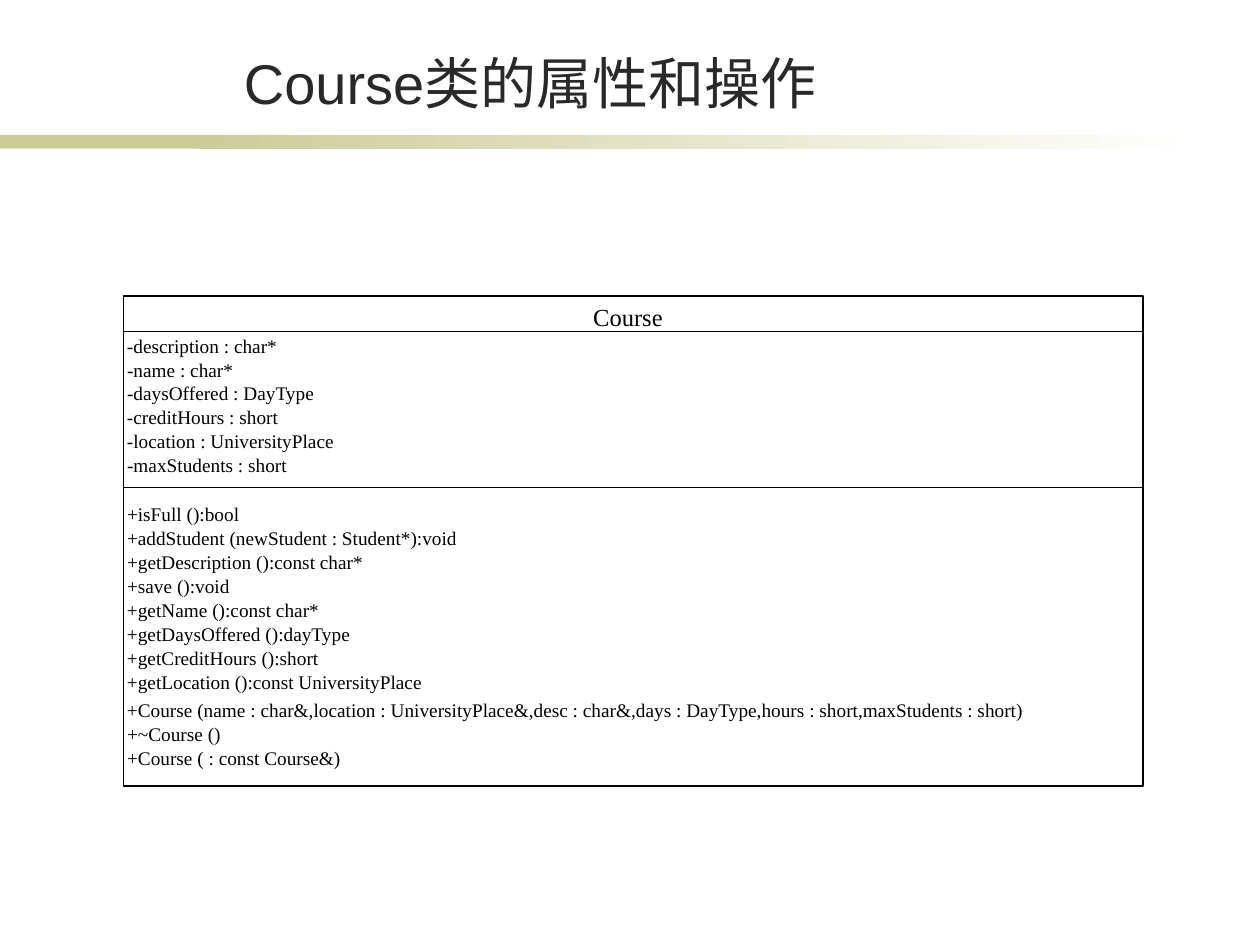
from lxml.etree import SubElement
from pptx import Presentation
from pptx.dml.color import RGBColor
from pptx.enum.shapes import MSO_CONNECTOR, MSO_SHAPE
from pptx.enum.text import MSO_ANCHOR, MSO_AUTO_SIZE, PP_ALIGN
from pptx.oxml.ns import qn
from pptx.util import Inches, Pt

# Content: each member with the width of its box in inches
TITLE = "Course类的属性和操作"
CLASS_NAME = ("Course", 0.83)
ATTRIBUTES = [
    ("-description : char*", 1.47),
    ("-name : char*", 1.11),
    ("-daysOffered : DayType", 1.82),
    ("-creditHours : short", 1.5),
    ("-location : UniversityPlace", 1.96),
    ("-maxStudents : short", 1.61),
]
OPERATIONS = [
    ("+isFull ():bool", 1.12),
    ("+addStudent (newStudent : Student*):void", 3.05),
    ("+getDescription ():const char*", 2.21),
    ("+save ():void", 1.08),
    ("+getName ():const char*", 1.86),
    ("+getDaysOffered ():dayType", 2.13),
    ("+getCreditHours ():short", 1.84),
    ("+getLocation ():const UniversityPlace", 2.73),
]
CONSTRUCTORS = [
    ("+Course (name : char&,location : UniversityPlace&,desc : char&,"
     "days : DayType,hours : short,maxStudents : short)", 7.96),
    ("+~Course ()", 1.01),
    ("+Course ( : const Course&)", 2.05),
]
COLORS = {"band": "CCCC99", "paper": "FFFFFF", "title": "292929", "ink": "000000"}

# Layout in inches
BOX_LEFT, BOX_TOP, BOX_WIDTH, BOX_HEIGHT = 0.98, 2.35, 8.09, 3.89
DIVIDERS = [2.63, 3.87]
MEMBER_LEFT, MEMBER_HEIGHT, ROW_PITCH = 0.91, 0.28, 0.19
SECTIONS = [(2.6, ATTRIBUTES), (3.94, OPERATIONS), (5.49, CONSTRUCTORS)]


def color(key):
    return RGBColor.from_string(COLORS[key])


def add_rect(shapes, left, top, width, height):
    rect = shapes.add_shape(MSO_SHAPE.RECTANGLE, Inches(left), Inches(top),
                            Inches(width), Inches(height))
    rect.shadow.inherit = False
    rect.line.fill.background()
    return rect


def add_run(paragraph, text, size, font_name, key):
    run = paragraph.add_run()
    run.text = text
    run.font.size = Pt(size)
    run.font.name = font_name
    run.font.color.rgb = color(key)


def add_label(shapes, text, left, top, width, height, size):
    label = shapes.add_textbox(Inches(left), Inches(top), Inches(width), Inches(height))
    frame = label.text_frame
    frame.word_wrap = False
    frame.auto_size = MSO_AUTO_SIZE.SHAPE_TO_FIT_TEXT
    add_run(frame.paragraphs[0], text, size, "Times New Roman", "ink")


def add_divider(shapes, y):
    divider = shapes.add_connector(MSO_CONNECTOR.STRAIGHT, Inches(BOX_LEFT), Inches(y),
                                   Inches(BOX_LEFT + BOX_WIDTH), Inches(y))
    divider.line.color.rgb = color("ink")
    divider.line.width = Pt(1)
    SubElement(divider._element.spPr, qn("a:effectLst"))


def main():
    deck = Presentation()
    deck.slide_width, deck.slide_height = Inches(10), Inches(7.5)
    slide = deck.slides.add_slide(deck.slide_layouts[6])

    # Band under the title, fading to the right
    solid = add_rect(slide.shapes, 0, 1.07, 2.33, 0.11)
    solid.fill.solid()
    solid.fill.fore_color.rgb = color("band")
    fade = add_rect(slide.shapes, 1.58, 1.07, 7.92, 0.11)
    fade.fill.gradient()
    fade.fill.gradient_angle = 0
    for stop, key, position in zip(fade.fill.gradient_stops, ("band", "paper"), (0, 1)):
        stop.color.rgb = color(key)
        stop.position = position

    # Title
    heading = slide.shapes.add_textbox(Inches(1.14), Inches(0.29), Inches(6.14), Inches(0.63))
    frame = heading.text_frame
    frame.word_wrap = True
    frame.vertical_anchor = MSO_ANCHOR.BOTTOM
    frame.margin_left = frame.margin_right = frame.margin_top = frame.margin_bottom = 0
    frame.paragraphs[0].alignment = PP_ALIGN.CENTER
    add_run(frame.paragraphs[0], TITLE, 32, "Arial", "title")

    # Class diagram: frame, name and dividers
    diagram = slide.shapes.add_group_shape().shapes
    outline = add_rect(diagram, BOX_LEFT, BOX_TOP, BOX_WIDTH, BOX_HEIGHT)
    outline.fill.background()
    outline.line.color.rgb = color("ink")
    outline.line.width = Pt(1)
    name, name_width = CLASS_NAME
    add_label(diagram, name, BOX_LEFT + (BOX_WIDTH - name_width) / 2, BOX_TOP,
              name_width, 0.33, 14)
    for y in DIVIDERS:
        add_divider(diagram, y)

    # Members, one row each
    for top, members in SECTIONS:
        for row, (member, width) in enumerate(members):
            add_label(diagram, member, MEMBER_LEFT, top + row * ROW_PITCH,
                      width, MEMBER_HEIGHT, 11)

    deck.save("out.pptx")


if __name__ == "__main__":
    main()
